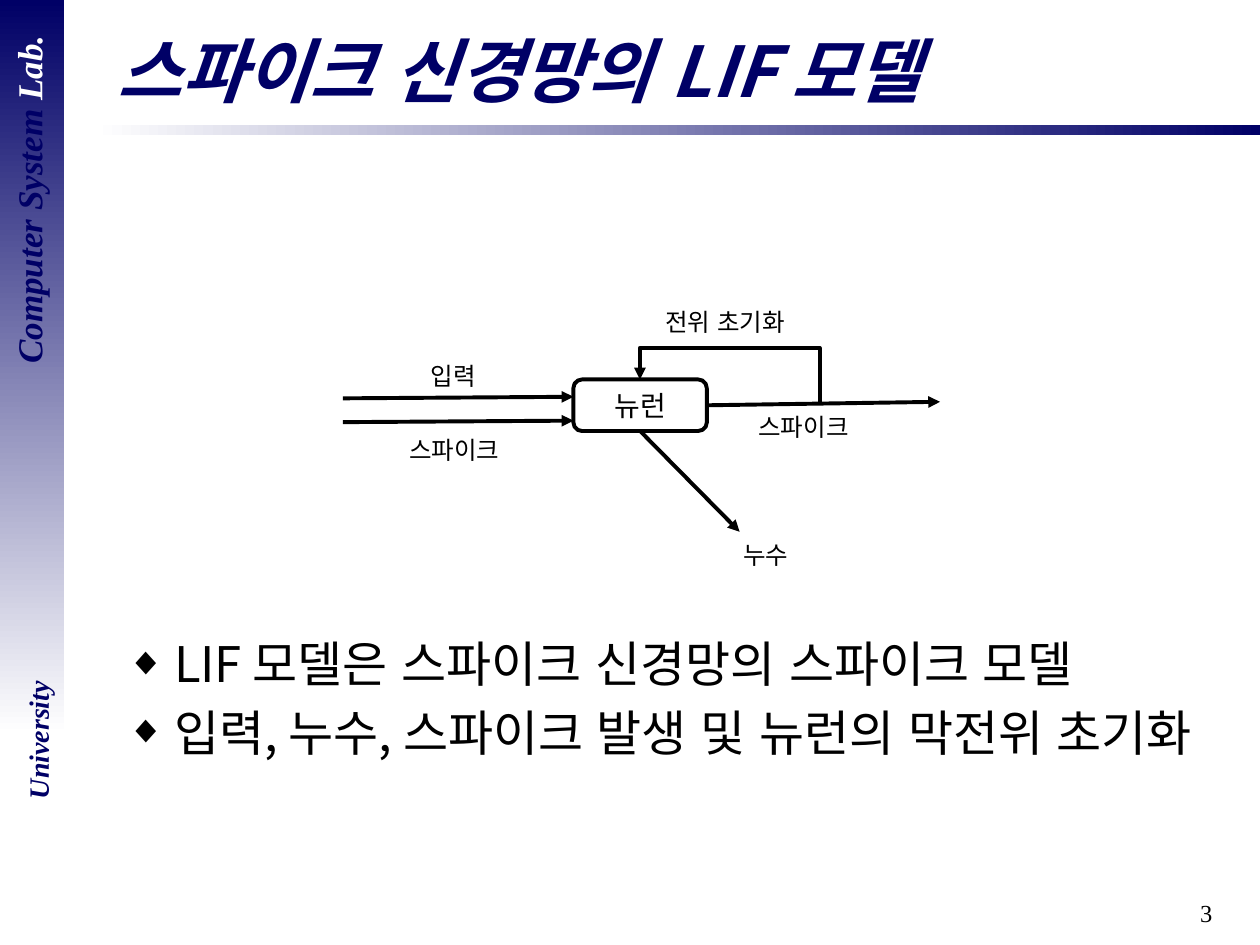
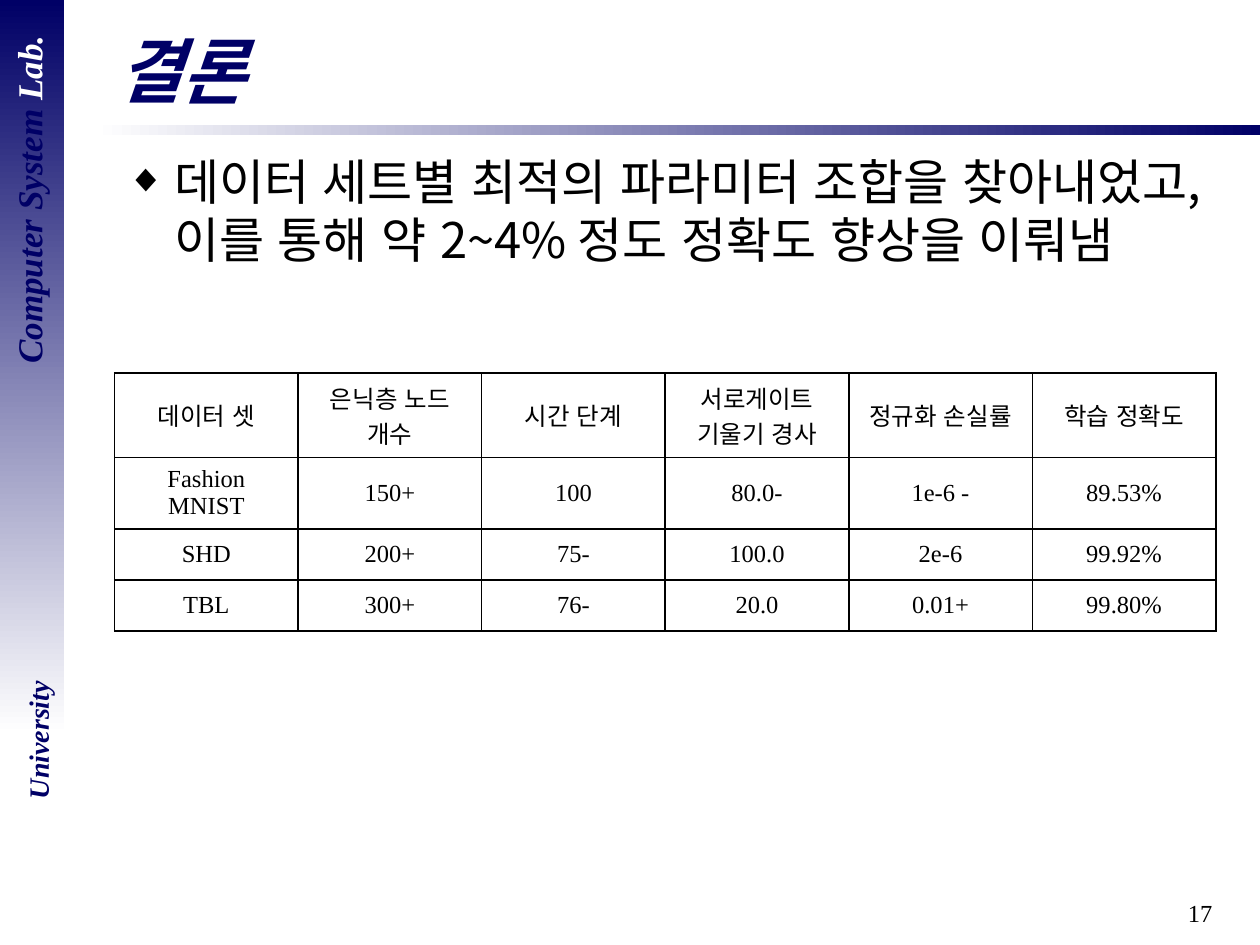
from lxml.etree import SubElement
from pptx import Presentation
from pptx.dml.color import RGBColor
from pptx.enum.lang import MSO_LANGUAGE_ID
from pptx.enum.shapes import MSO_CONNECTOR, MSO_SHAPE
from pptx.enum.text import MSO_ANCHOR, PP_ALIGN
from pptx.oxml.ns import qn
from pptx.util import Cm, Pt

NAVY = RGBColor(0x00, 0x00, 0x66)
WHITE = RGBColor(0xFF, 0xFF, 0xFF)
BLACK = RGBColor(0x00, 0x00, 0x00)
SERIF = "Times New Roman"
KOREAN = "Noto Sans CJK KR"
LINE_WIDTH = Pt(2.25)

RESULTS = [
    ["데이터 셋", "은닉층 노드 개수", "시간 단계", "서로게이트 기울기 경사",
     "정규화 손실률", "학습 정확도"],
    ["Fashion\nMNIST", "150+", "100", "80.0-", "1e-6 -", "89.53%"],
    ["SHD", "200+", "75-", "100.0", "2e-6", "99.92%"],
    ["TBL", "300+", "76-", "20.0", "0.01+", "99.80%"],
]
RESULT_ROW_HEIGHTS = [1.7, 1.34, 1.03, 1.03]


# Text
def format_run(run, size, font=SERIF, color=BLACK, strong=False):
    run.font.size = Pt(size)
    run.font.name = font
    run.font.bold = run.font.italic = strong
    run.font.color.rgb = color
    run.font.language_id = MSO_LANGUAGE_ID.KOREAN
    SubElement(run.font._element, qn("a:ea"), typeface=KOREAN)


def write_text(frame, text, align=PP_ALIGN.LEFT, anchor=MSO_ANCHOR.TOP, **style):
    frame.word_wrap = True
    frame.vertical_anchor = anchor
    frame.text = text
    for paragraph in frame.paragraphs:
        paragraph.alignment = align
        for run in paragraph.runs:
            format_run(run, **style)


def add_text(slide, text, left, top, width, height, rotation=0, **style):
    box = slide.shapes.add_textbox(Cm(left), Cm(top), Cm(width), Cm(height))
    box.rotation = rotation
    write_text(box.text_frame, text, **style)
    return box.text_frame


def add_bullets(slide, points, top, height):
    frame = add_text(slide, "\n".join(points), 2.31, top, 22.2, height,
                     size=28, font=KOREAN)
    for index, paragraph in enumerate(frame.paragraphs):
        properties = paragraph._p.get_or_add_pPr()
        properties.set("marL", str(Cm(0.95)))
        properties.set("indent", str(-Cm(0.95)))
        SubElement(properties, qn("a:buSzPct"), val="80000")
        SubElement(properties, qn("a:buFont"), typeface=SERIF)
        SubElement(properties, qn("a:buChar"), char="◆")
        if index:
            paragraph.space_before = Pt(5.6)


# Shared frame of every slide
def add_band(slide, left, top, width, height, colors, angle):
    band = slide.shapes.add_shape(MSO_SHAPE.RECTANGLE, Cm(left), Cm(top),
                                  Cm(width), Cm(height))
    band.shadow.inherit = False
    band.line.fill.background()
    band.fill.gradient()
    band.fill.gradient_angle = angle
    for stop, color in zip(band.fill.gradient_stops, colors):
        stop.color.rgb = color


def add_framed_slide(deck, title, number):
    slide = deck.slides.add_slide(deck.slide_layouts[6])
    add_band(slide, 1.9, 2.52, 23.5, 0.2, (WHITE, NAVY), 0)
    add_band(slide, 0, 0, 1.3, 14.81, (NAVY, WHITE), 270)
    lab = add_text(slide, "Computer System ", -3.33, 3.48, 7.8, 1.09, rotation=270,
                   align=PP_ALIGN.CENTER, size=20, color=NAVY, strong=True)
    lab_end = lab.paragraphs[0].add_run()
    lab_end.text = "Lab."
    format_run(lab_end, 20, color=WHITE, strong=True)
    add_text(slide, "University", -1.04, 14.45, 3.61, 0.94, rotation=270,
             align=PP_ALIGN.CENTER, size=16, color=NAVY, strong=True)
    add_text(slide, title, 2.11, 0.43, 22.61, 1.96, anchor=MSO_ANCHOR.MIDDLE,
             size=40, font=KOREAN, color=NAVY, strong=True)
    add_text(slide, str(number), 19.41, 17.98, 5.28, 1.07,
             align=PP_ALIGN.RIGHT, size=14)
    return slide


# Neuron diagram
def add_arrow(slide, start, end, kind=MSO_CONNECTOR.STRAIGHT):
    arrow = slide.shapes.add_connector(kind, *map(Cm, start + end))
    arrow.line.color.rgb = BLACK
    arrow.line.width = LINE_WIDTH
    SubElement(arrow.line._get_or_add_ln(), qn("a:tailEnd"), type="triangle")
    SubElement(arrow._element.spPr, qn("a:effectLst"))
    return arrow


def add_reset_loop(slide, start, end):
    """Arrow that rises from the output and drops onto the neuron."""
    loop = add_arrow(slide, start, end, MSO_CONNECTOR.ELBOW)
    frame = loop._element.spPr.find(qn("a:xfrm"))
    for flip in ("flipH", "flipV"):
        frame.attrib.pop(flip, None)
    frame.set("rot", "10800000")
    outline = loop._element.spPr.find(qn("a:prstGeom"))
    outline.set("prst", "bentConnector4")
    guides = outline.find(qn("a:avLst"))
    for name, value in (("adj1", 800), ("adj2", 241800)):
        SubElement(guides, qn("a:gd"), name=name, fmla=f"val {value}")


def add_neuron(slide):
    neuron = slide.shapes.add_shape(MSO_SHAPE.ROUNDED_RECTANGLE, Cm(11.56), Cm(7.65),
                                    Cm(2.69), Cm(1.04))
    neuron.shadow.inherit = False
    neuron.fill.background()
    neuron.line.color.rgb = BLACK
    neuron.line.width = LINE_WIDTH
    write_text(neuron.text_frame, "뉴런", align=PP_ALIGN.CENTER,
               anchor=MSO_ANCHOR.MIDDLE, size=16)
    return neuron


def add_neuron_diagram(slide):
    neuron = add_neuron(slide)
    for height in (8.03, 8.51):
        add_arrow(slide, (6.91, height), (11.56, height - 0.03))
    leak = add_arrow(slide, (12.9, 8.69), (14.91, 10.72))
    leak.begin_connect(neuron, 2)
    output = add_arrow(slide, (14.25, 8.17), (18.95, 8.1))
    output.begin_connect(neuron, 3)
    add_reset_loop(slide, (16.55, 8.1), (12.9, 7.65))
    for label, left, top, width in (
        ("입력", 8.43, 7.16, 1.5),
        ("스파이크", 8.0, 8.64, 2.51),
        ("전위 초기화", 13.16, 6.07, 3.12),
        ("스파이크", 15.04, 8.18, 3.94),
        ("누수", 14.73, 10.77, 1.5),
    ):
        add_text(slide, label, left, top, width, 0.86, size=14)


# Results table
def outline_cell(cell):
    properties = cell._tc.get_or_add_tcPr()
    for index, side in enumerate(("lnL", "lnR", "lnT", "lnB")):
        border = properties.makeelement(qn(f"a:{side}"), {"w": str(Pt(1))})
        fill = SubElement(border, qn("a:solidFill"))
        SubElement(fill, qn("a:srgbClr"), val=str(BLACK))
        properties.insert(index, border)


def add_results(slide):
    table = slide.shapes.add_table(len(RESULTS), len(RESULTS[0]), Cm(2.31), Cm(7.52),
                                   Cm(22.2), Cm(sum(RESULT_ROW_HEIGHTS))).table
    for row, height, values in zip(table.rows, RESULT_ROW_HEIGHTS, RESULTS):
        row.height = Cm(height)
        for cell, value in zip(row.cells, values):
            cell.fill.background()
            cell.vertical_anchor = MSO_ANCHOR.MIDDLE
            write_text(cell.text_frame, value, align=PP_ALIGN.CENTER,
                       anchor=None, size=14)
            outline_cell(cell)


def main():
    deck = Presentation()
    deck.slide_width, deck.slide_height = Cm(25.4), Cm(19.05)

    model = add_framed_slide(deck, "스파이크 신경망의 LIF 모델", 3)
    add_neuron_diagram(model)
    add_bullets(model, ["LIF 모델은 스파이크 신경망의 스파이크 모델",
                        "입력, 누수, 스파이크 발생 및 뉴런의 막전위 초기화"], 12.65, 4.9)

    conclusion = add_framed_slide(deck, "결론", 17)
    add_bullets(conclusion, ["데이터 세트별 최적의 파라미터 조합을 찾아내었고, "
                             "이를 통해 약 2~4% 정도 정확도 향상을 이뤄냄"], 2.92, 14.66)
    add_results(conclusion)

    deck.save("out.pptx")


if __name__ == "__main__":
    main()
